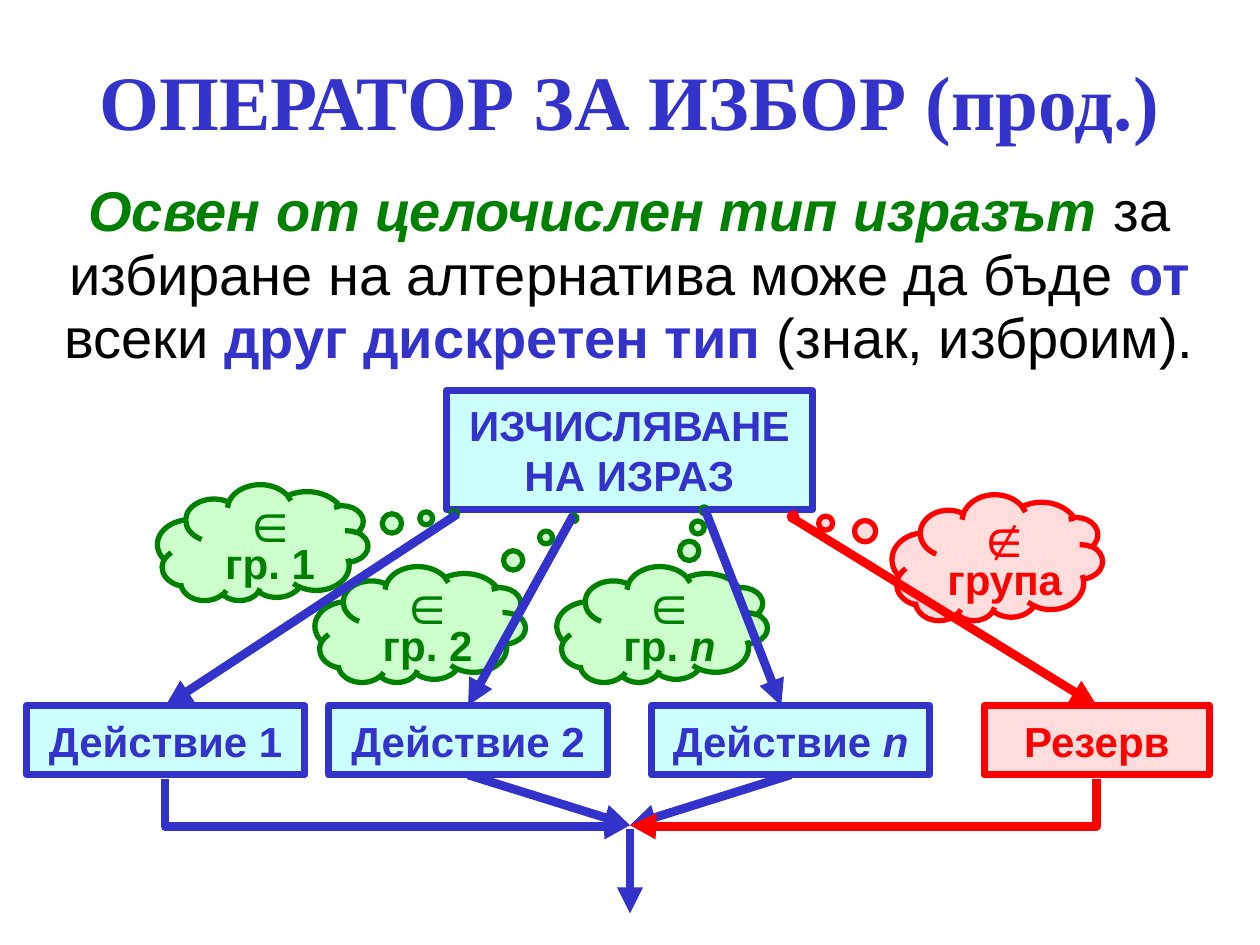
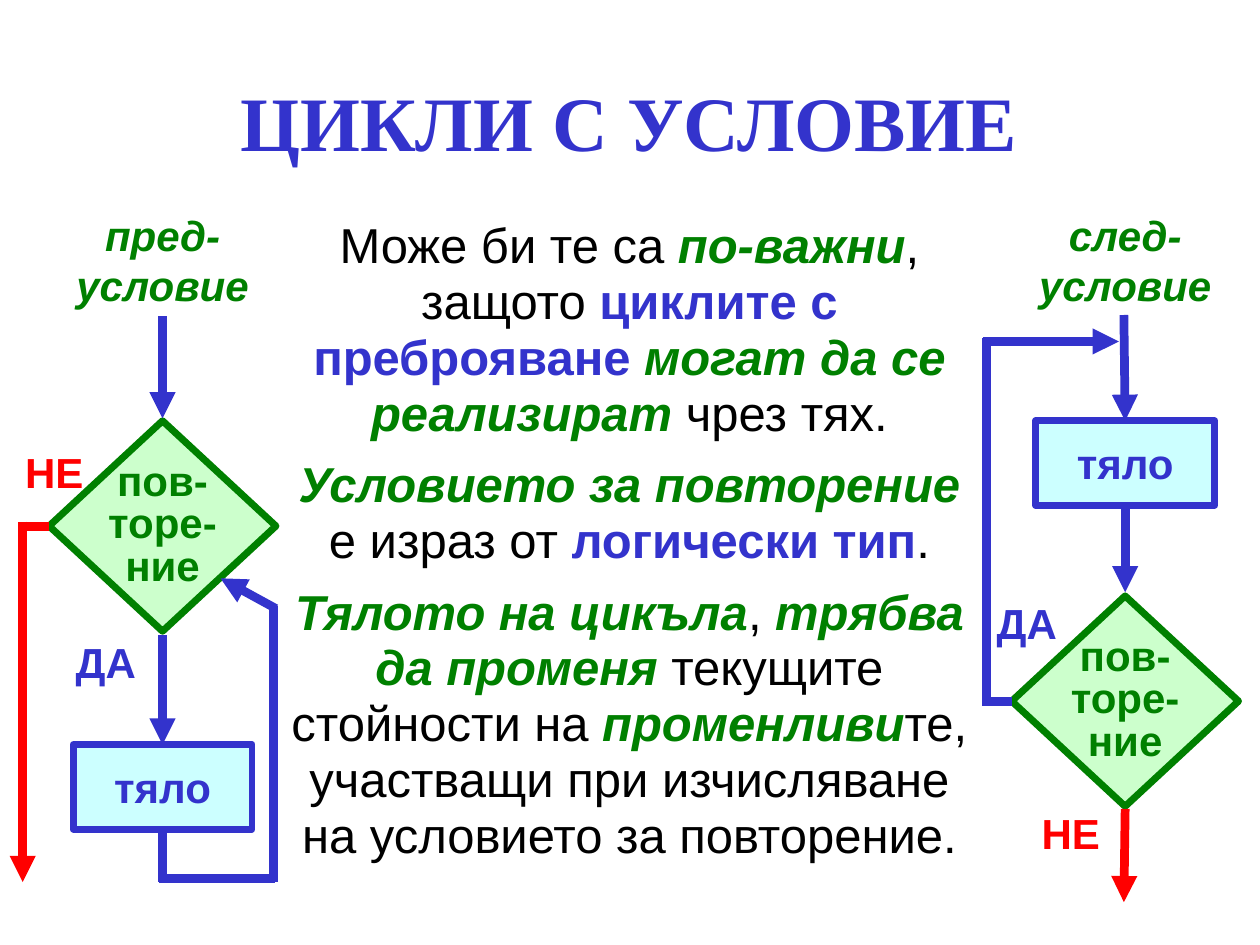
from pptx import Presentation
from pptx import util as u
from pptx.dml import color
from pptx.enum import shapes, text
from pptx.oxml import ns
from lxml import etree

COLORS = {
    "blue": "3333CC", "green": "008000", "red": "FF0000", "black": "000000",
    "cyan_fill": "CCFFFF", "green_fill": "CCFFCC", "red_fill": "FFBDBD",
}
TOP, BOTTOM = 0, 2
SHAPE = shapes.MSO_SHAPE
ALIGN = text.PP_ALIGN
MIDDLE = text.MSO_ANCHOR.MIDDLE
INSETS = (0.1, 0.05)


def rgb(name):
    return color.RGBColor.from_string(COLORS[name])


def sub(parent, tag, **attrs):
    return etree.SubElement(parent, ns.qn(tag), attrs)


class Deck:
    """Holds the deck style and the current slide."""

    def __init__(self):
        self.prs = Presentation()
        self.prs.slide_width = u.Inches(10)
        self.prs.slide_height = u.Inches(7.5)
        self.s = None

    def slide(self, title, box):
        self.s = self.prs.slides.add_slide(self.prs.slide_layouts[5])
        sp = self.s.shapes.title
        sp.left, sp.top, sp.width, sp.height = map(u.Inches, box)
        self.fill_text(sp, [[(title, "blue", "b")]], 44,
                       font="Times New Roman")

    def fill_text(self, sp, paragraphs, size, anchor=MIDDLE,
                  align=ALIGN.CENTER, spacing=None, before=0, insets=INSETS,
                  font="Arial"):
        tf = sp.text_frame
        tf.auto_size = text.MSO_AUTO_SIZE.NONE
        tf.word_wrap = True
        tf.vertical_anchor = anchor
        tf.margin_left = tf.margin_right = u.Inches(insets[0])
        tf.margin_top = tf.margin_bottom = u.Inches(insets[1])
        for i, runs in enumerate(paragraphs):
            p = tf.add_paragraph() if i else tf.paragraphs[0]
            p.alignment = align
            p.space_before = u.Pt(before if i else 0)
            if spacing:
                p.line_spacing = spacing
            p.font.name, p.font.size = font, u.Pt(size)
            styles = {run[1:] for run in runs}
            if len(styles) == 1:
                self.style(p.font, *runs[0][1:])
            for content, *style in runs:
                if content == "\n":
                    p.add_line_break()
                    continue
                r = p.add_run()
                r.text = content
                if len(styles) > 1:
                    self.style(r.font, *style)

    def style(self, font, name, marks="", size=None):
        font.color.rgb = rgb(name)
        font.bold = "b" in marks
        font.italic = "i" in marks
        if size:
            font.size = u.Pt(size)

    def body(self, paragraphs, box, size, before=0):
        sp = self.s.shapes.add_textbox(*map(u.Inches, box))
        self.fill_text(sp, paragraphs, size, text.MSO_ANCHOR.TOP,
                       spacing=0.95, before=before)

    def heading(self, content, left):
        sp = self.s.shapes.add_textbox(*map(u.Inches, (left, 1.61, 2.08, 0.9)))
        self.fill_text(sp, [[(content, "green", "bi")]], 24,
                       text.MSO_ANCHOR.TOP)

    def label(self, content, name, left, top, align=ALIGN.LEFT):
        sp = self.s.shapes.add_textbox(*map(u.Inches, (left, top, 0.5, 0.5)))
        self.fill_text(sp, [[(content, name, "b")]], 24, align=align,
                       insets=(0, 0.05))

    def shape(self, kind, box, name, fill, width=4):
        sp = self.s.shapes.add_shape(kind, *map(u.Inches, box))
        sp.shadow.inherit = False
        sp.fill.solid()
        sp.fill.fore_color.rgb = rgb(fill)
        if fill == "red_fill":
            clr = sp.element.spPr.find(".//" + ns.qn("a:srgbClr"))
            sub(clr, "a:alpha", val="50000")
        sp.line.color.rgb = rgb(name)
        sp.line.width = u.Pt(width)
        return sp

    def box(self, runs, box, name="blue", fill="cyan_fill",
            kind=SHAPE.FLOWCHART_PROCESS):
        sp = self.shape(kind, box, name, fill)
        self.fill_text(sp, [runs], 24)
        return sp

    def decision(self, left, top):
        sp = self.shape(SHAPE.FLOWCHART_DECISION, (left, top, 1.8, 1.67),
                        "green", "green_fill")
        self.fill_text(sp, [[("пов-торе- ние", "green", "b")]], 24,
                       spacing=0.85, insets=(0, 0))

    def cloud(self, sign, words, box, tail, name="green"):
        sp = self.shape(SHAPE.CLOUD_CALLOUT, box, name, name + "_fill", 3)
        sp.adjustments[0], sp.adjustments[1] = tail
        xfrm = sp.element.spPr.find(ns.qn("a:xfrm"))
        xfrm.set("flipH", "1")
        xfrm.set("flipV", "1")
        runs = [(sign, name, "b", 32), ("\n", name, "b", 32)]
        runs += [(word, name, marks, 24) for word, marks in words]
        self.fill_text(sp, [runs], 24, spacing=0.7, insets=(0, 0))
        sp.element.txBody.find(ns.qn("a:bodyPr")).set("rot", "10800000")

    def finish(self, c, name, arrow):
        c.line.color.rgb = rgb(name)
        c.line.width = u.Pt(5)
        if arrow:
            ln = c.element.spPr.find(ns.qn("a:ln"))
            sub(ln, "a:tailEnd", type="triangle")
        sub(c.element.spPr, "a:effectLst")

    def line(self, start, end, name="blue", arrow=True, begin_at=None,
             end_at=None):
        c = self.s.shapes.add_connector(shapes.MSO_CONNECTOR.STRAIGHT,
                                        *map(u.Inches, start + end))
        if begin_at:
            c.begin_connect(*begin_at)
        if end_at:
            c.end_connect(*end_at)
        self.finish(c, name, arrow)

    def elbow(self, start, end, name="blue"):
        (x1, y1), (x2, y2) = start, end
        w, h = y2 - y1, abs(x2 - x1)
        left, top = (x1 + x2 - w) / 2, (y1 + y2 - h) / 2
        c = self.s.shapes.add_connector(
            shapes.MSO_CONNECTOR.ELBOW,
            *map(u.Inches, (left, top, left + w, top + h)))
        xfrm = c.element.spPr.find(ns.qn("a:xfrm"))
        xfrm.set("rot", str((270 if x2 > x1 else 90) * 60000))
        if x2 > x1:
            xfrm.set("flipH", "1")
        geom = c.element.spPr.find(ns.qn("a:prstGeom"))
        guides = geom.find(ns.qn("a:avLst"))
        if guides is None:
            guides = sub(geom, "a:avLst")
        sub(guides, "a:gd", name="adj1", fmla="val 102300")
        self.finish(c, name, True)


def choice_slide(d):
    d.slide("ОПЕРАТОР ЗА ИЗБОР (прод.)", (0.24, 0.41, 9.52, 0.77))
    d.body([[("Освен от целочислен тип изразът", "green", "bi"),
             (" за избиране на алтернатива може да бъде ", "black"),
             ("от ", "blue", "b"), ("всеки ", "black"),
             ("друг дискретен тип", "blue", "b"),
             (" (знак, изброим).", "black")]],
           (0.27, 1.38, 9.45, 1.62), 32)
    d.box([("ИЗЧИСЛЯВАНЕ НА ИЗРАЗ", "blue", "b")], (3.54, 3.1, 2.91, 0.94))

    for words, left, top, tail in (
            ([("гр. 1", "b")], 1.25, 3.85, (-0.91, 0.25)),
            ([("гр. 2", "b")], 2.5, 4.5, (-0.73, 0.92)),
            ([("гр. ", "b"), ("n", "bi")], 4.42, 4.5, (-0.2, 0.99))):
        d.cloud("∈", words, (left, top, 1.67, 0.92), tail)
    d.cloud("∉", [("група", "b")], (7.08, 3.93, 1.67, 1), (0.97, 0.33), "red")

    actions = [
        d.box(runs, (left, 5.6, 2.21, 0.55), kind=SHAPE.RECTANGLE)
        for left, runs in (
            (0.21, [("Действие 1", "blue", "b")]),
            (2.61, [("Действие 2", "blue", "b")]),
            (5.17, [("Действие ", "blue", "b"), ("n", "blue", "bi")]))]
    reserve = d.box([("Резерв", "red", "b")], (7.81, 5.6, 1.79, 0.55), "red",
                    "red_fill", SHAPE.RECTANGLE)

    merge = (5, 6.55)
    d.line((4.55, 4.09), (3.71, 5.6), end_at=(actions[1], TOP))
    d.line((3.63, 4.08), (1.31, 5.6), end_at=(actions[0], TOP))
    d.line((5.59, 4.03), (6.2, 5.6))
    d.line((6.27, 4.1), (8.7, 5.6), "red", end_at=(reserve, TOP))
    d.line((5, 6.58), (5, 7.25))
    d.elbow((1.31, 6.18), merge)
    d.line((3.71, 6.15), merge, begin_at=(actions[1], BOTTOM))
    d.line((6.27, 6.15), merge, begin_at=(actions[2], BOTTOM))
    d.elbow((8.7, 6.18), merge, "red")


def loops_slide(d):
    d.slide("ЦИКЛИ С УСЛОВИЕ", (0.51, 0.57, 8.97, 0.77))
    d.body([
        [("Може би те са ", "black"), ("по-важни", "green", "bi"),
         (", защото ", "black"), ("циклите с преброяване", "blue", "b"),
         (" могат да се реализират", "green", "bi"),
         (" чрез тях.", "black")],
        [("Условието за повторение", "green", "bi"),
         (" е израз от ", "black"), ("логически тип", "blue", "b"),
         (".", "black")],
        [("Тялото на цикъла", "green", "bi"), (", ", "black"),
         ("трябва да променя", "green", "bi"),
         (" текущите стойности на ", "black"),
         ("променливи", "green", "bi"),
         ("те, участващи при изчисляване на условието за повторение.",
          "black")],
    ], (2.2, 1.69, 5.59, 5.23), 28, before=8.8)

    loop_body = [("тяло", "blue", "b")]
    d.decision(0.39, 3.34)
    pre_body = d.box(loop_body, (0.58, 5.91, 1.42, 0.67))
    d.heading("пред-условие", 0.25)
    d.line((1.29, 2.51), (1.29, 3.32))
    d.line((1.29, 5.04), (1.29, 5.91), end_at=(pre_body, TOP))
    d.line((1.29, 6.58), (1.29, 7), arrow=False, begin_at=(pre_body, BOTTOM))
    d.line((1.26, 6.97), (2.18, 6.97), arrow=False)
    d.line((2.17, 7), (2.17, 4.81), arrow=False)
    d.line((2.19, 4.83), (1.75, 4.59))
    d.line((0.39, 4.18), (0.21, 4.18), "red", arrow=False)
    d.line((0.18, 4.14), (0.18, 7), "red")
    d.label("ДА", "blue", 0.58, 5, ALIGN.RIGHT)
    d.label("НЕ", "red", 0.2, 3.49)

    d.decision(8.03, 4.73)
    post_body = d.box(loop_body, (8.22, 3.34, 1.42, 0.67))
    d.heading("след-условие", 7.89)
    d.line((8.92, 2.5), (8.92, 3.34), end_at=(post_body, TOP))
    d.line((8.93, 4.01), (8.93, 4.7), begin_at=(post_body, BOTTOM))
    d.line((7.81, 5.57), (8.03, 5.57), arrow=False)
    d.line((7.83, 5.6), (7.83, 2.68), arrow=False)
    d.line((8.93, 6.42), (8.92, 7.16), "red")
    d.label("ДА", "blue", 7.91, 4.69)
    d.label("НЕ", "red", 8.23, 6.36, ALIGN.RIGHT)
    d.line((7.8, 2.71), (8.88, 2.71))


def main():
    d = Deck()
    choice_slide(d)
    loops_slide(d)
    d.prs.save("out.pptx")


if __name__ == "__main__":
    main()
